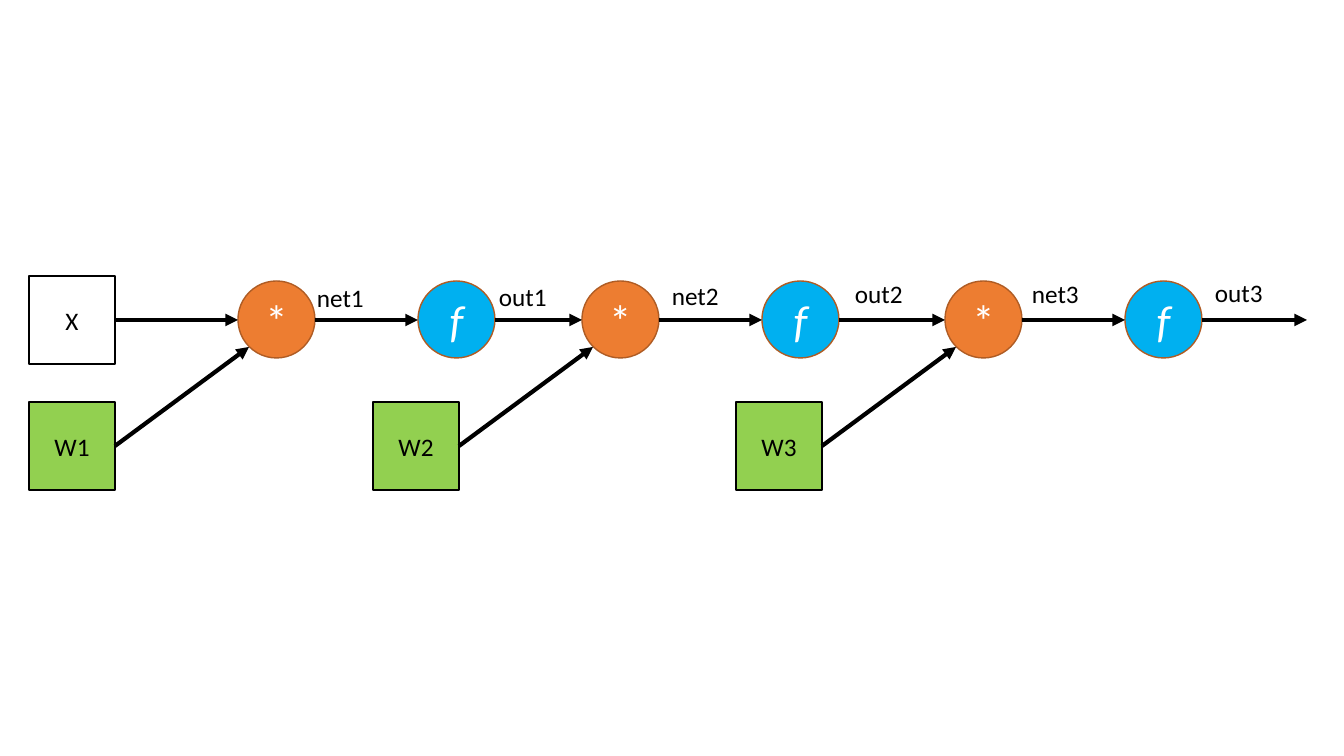
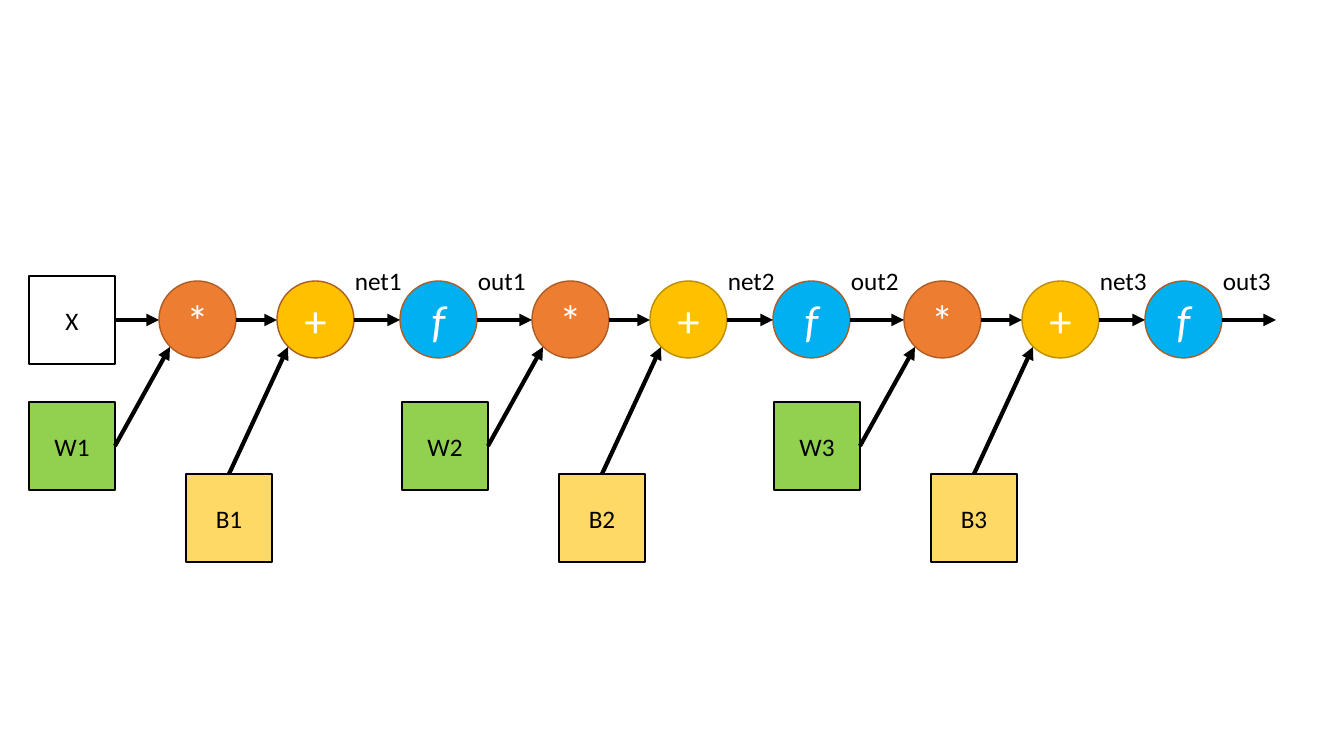
from dataclasses import dataclass

from lxml import etree
from pptx import Presentation
from pptx.dml.color import RGBColor
from pptx.enum.shapes import MSO_CONNECTOR as CONN, MSO_SHAPE as SHAPE
from pptx.enum.text import MSO_ANCHOR as ANCHOR, MSO_AUTO_SIZE as AUTO, PP_ALIGN as ALIGN
from pptx.oxml.ns import qn
from pptx.util import Emu, Pt


@dataclass(frozen=True)
class Theme:
    font: str = "Calibri"
    black: str = "000000"
    white: str = "FFFFFF"
    weight: str = "92D050"
    bias: str = "FFD966"
    multiply: str = "ED7D31"
    add: str = "FFC000"
    activate: str = "00B0F0"
    rim: str = "AF5C24"
    add_rim: str = "BD8E00"
    text_size: int = 18
    symbol_size: int = 32
    outline: int = 1
    arrow: int = 3


THEME = Theme()
WIDTH, HEIGHT = 1344, 756
SCALE = 12192000 / WIDTH
BOX_W, BOX_H, CIRCLE = 86, 88, 77
LEFT, AXIS = 29, 320
X_TOP, W_TOP, B_TOP = 276, 402, 474
CIRCLE_TOP = 281
LABEL_W, LABEL_H = 100, 40
RIM_INSET, RIM_Y = 11, 347


def px(value):
    return Emu(round(value * SCALE))


def rgb(value):
    return RGBColor.from_string(value)


class Diagram:
    def __init__(self, prs, theme):
        self.theme = theme
        self.slide = prs.slides.add_slide(prs.slide_layouts[6])

    def set_text(self, sp, text, size, color, italic=False):
        tf = sp.text_frame
        tf.word_wrap = True
        tf.text = text
        font = tf.paragraphs[0].runs[0].font
        font.name, font.size, font.italic = self.theme.font, Pt(size), italic
        font.color.rgb = rgb(color)
        return tf

    def node(self, kind, x, y, w, h, text, fill, line, size, color, italic=False):
        sp = self.slide.shapes.add_shape(kind, px(x), px(y), px(w), px(h))
        sp.shadow.inherit = False
        sp.fill.solid()
        sp.fill.fore_color.rgb = rgb(fill)
        sp.line.color.rgb = rgb(line)
        sp.line.width = Pt(self.theme.outline)
        tf = self.set_text(sp, text, size, color, italic)
        tf.vertical_anchor = ANCHOR.MIDDLE
        tf.paragraphs[0].alignment = ALIGN.CENTER

    def box(self, x, y, text, fill):
        t = self.theme
        self.node(SHAPE.RECTANGLE, x, y, BOX_W, BOX_H, text, fill, t.black, t.text_size, t.black)

    def circle(self, x, text, fill, line, italic=False):
        t = self.theme
        self.node(SHAPE.OVAL, x, CIRCLE_TOP, CIRCLE, CIRCLE, text, fill, line,
                  t.symbol_size, t.white, italic)

    def label(self, x, y, text):
        sp = self.slide.shapes.add_textbox(px(x), px(y), px(LABEL_W), px(LABEL_H))
        tf = self.set_text(sp, text, self.theme.text_size, self.theme.black)
        tf.auto_size = AUTO.SHAPE_TO_FIT_TEXT

    def arrow(self, x1, y1, x2, y2):
        cx = self.slide.shapes.add_connector(CONN.STRAIGHT, px(x1), px(y1), px(x2), px(y2))
        cx.line.color.rgb = rgb(self.theme.black)
        cx.line.width = Pt(self.theme.arrow)
        sp_pr = cx.element.spPr
        etree.SubElement(sp_pr.find(qn("a:ln")), qn("a:tailEnd"), type="triangle")
        etree.SubElement(sp_pr, qn("a:effectLst"))

    def chain(self, circles, end):
        self.arrow(LEFT + BOX_W, AXIS, circles[0], AXIS)
        for x, following in zip(circles, circles[1:] + [end]):
            self.arrow(x + CIRCLE, AXIS, following, AXIS)

    def input_box(self):
        self.box(LEFT, X_TOP, "X", self.theme.white)

    def weight(self, n, x, multiply_x):
        t = self.theme
        self.box(x, W_TOP, f"W{n}", t.weight)
        self.circle(multiply_x, "*", t.multiply, t.rim)
        self.arrow(x + BOX_W, W_TOP + BOX_H / 2, multiply_x + RIM_INSET, RIM_Y)

    def bias(self, n, x, add_x):
        t = self.theme
        self.box(x, B_TOP, f"B{n}", t.bias)
        self.circle(add_x, "+", t.add, t.rim if n == 1 else t.add_rim)
        self.arrow(x + BOX_W / 2, B_TOP, add_x + RIM_INSET, RIM_Y)

    def activation(self, x):
        self.circle(x, "f", self.theme.activate, self.theme.rim, italic=True)


def weights_slide(prs):
    d = Diagram(prs, THEME)
    d.input_box()
    circles = []
    layers = [
        (LEFT, (307, 277), (489, 276)),
        (373, (662, 275), (845, 273)),
        (736, (1022, 273), (1205, 272)),
    ]
    for n, (x, net, out) in enumerate(layers, 1):
        multiply_x, activate_x = x + 209, x + 389
        d.weight(n, x, multiply_x)
        d.activation(activate_x)
        d.label(*net, f"net{n}")
        d.label(*out, f"out{n}")
        circles += [multiply_x, activate_x]
    d.chain(circles, 1307)


def biases_slide(prs):
    d = Diagram(prs, THEME)
    d.input_box()
    circles = []
    for n, x in enumerate((LEFT, 402, 774), 1):
        multiply_x, add_x, activate_x = x + 130, x + 248, x + 371
        d.weight(n, x, multiply_x)
        d.bias(n, x + 157, add_x)
        d.activation(activate_x)
        d.label(x + 316, 260, f"net{n}")
        d.label(x + 439, 260, f"out{n}")
        circles += [multiply_x, add_x, activate_x]
    d.chain(circles, 1276)


prs = Presentation()
prs.slide_width, prs.slide_height = px(WIDTH), px(HEIGHT)
weights_slide(prs)
biases_slide(prs)
prs.save("out.pptx")
